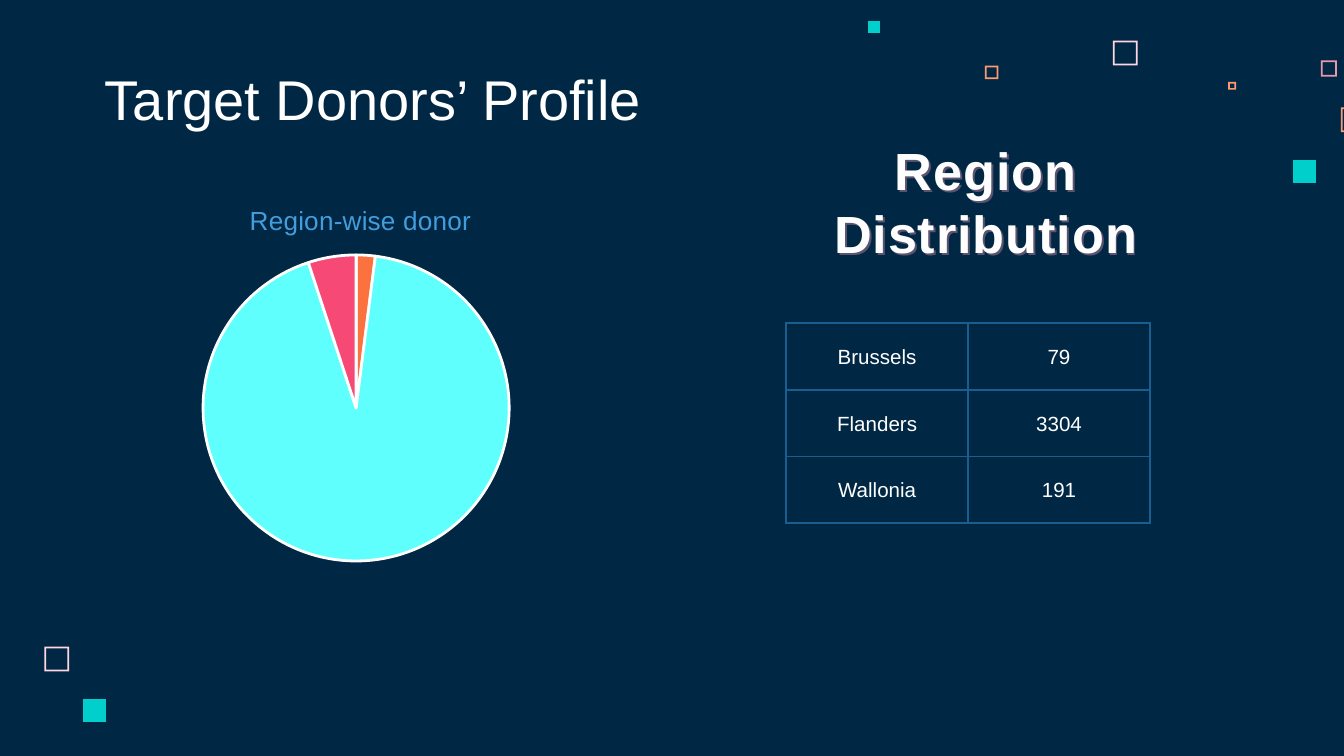
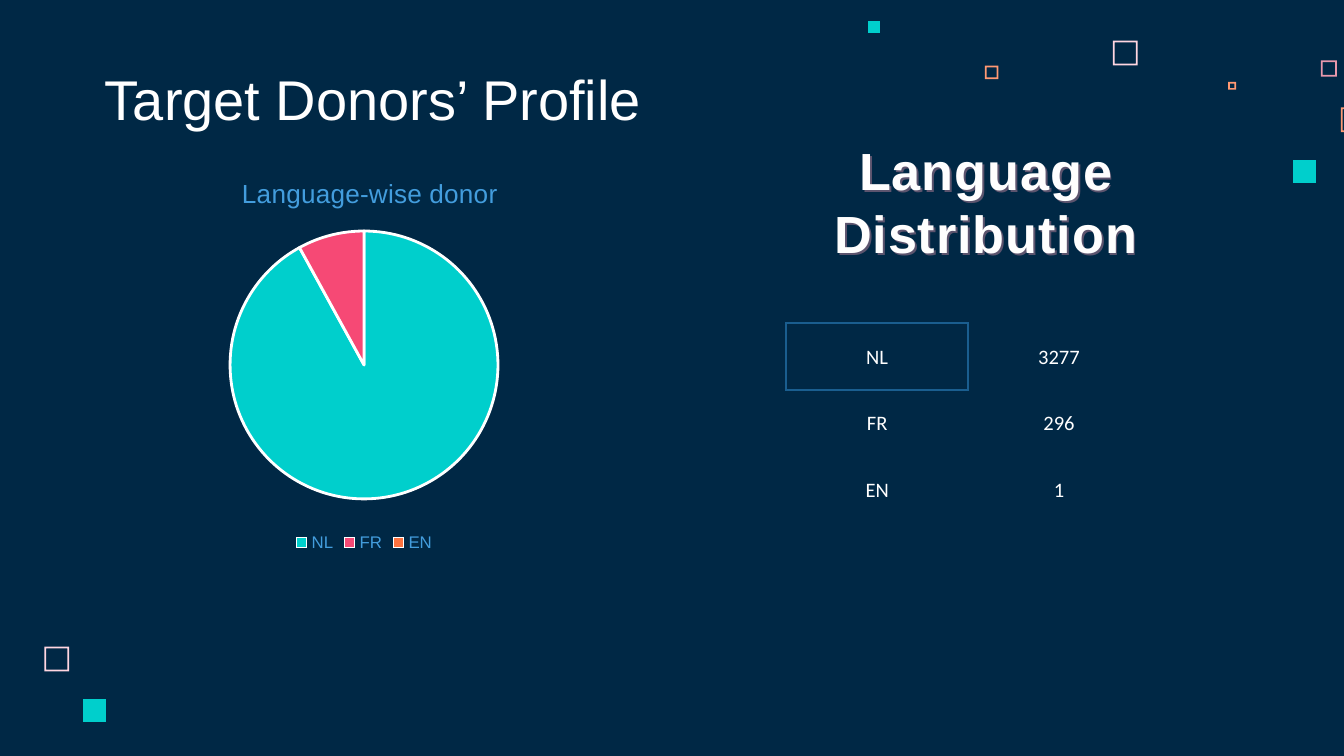
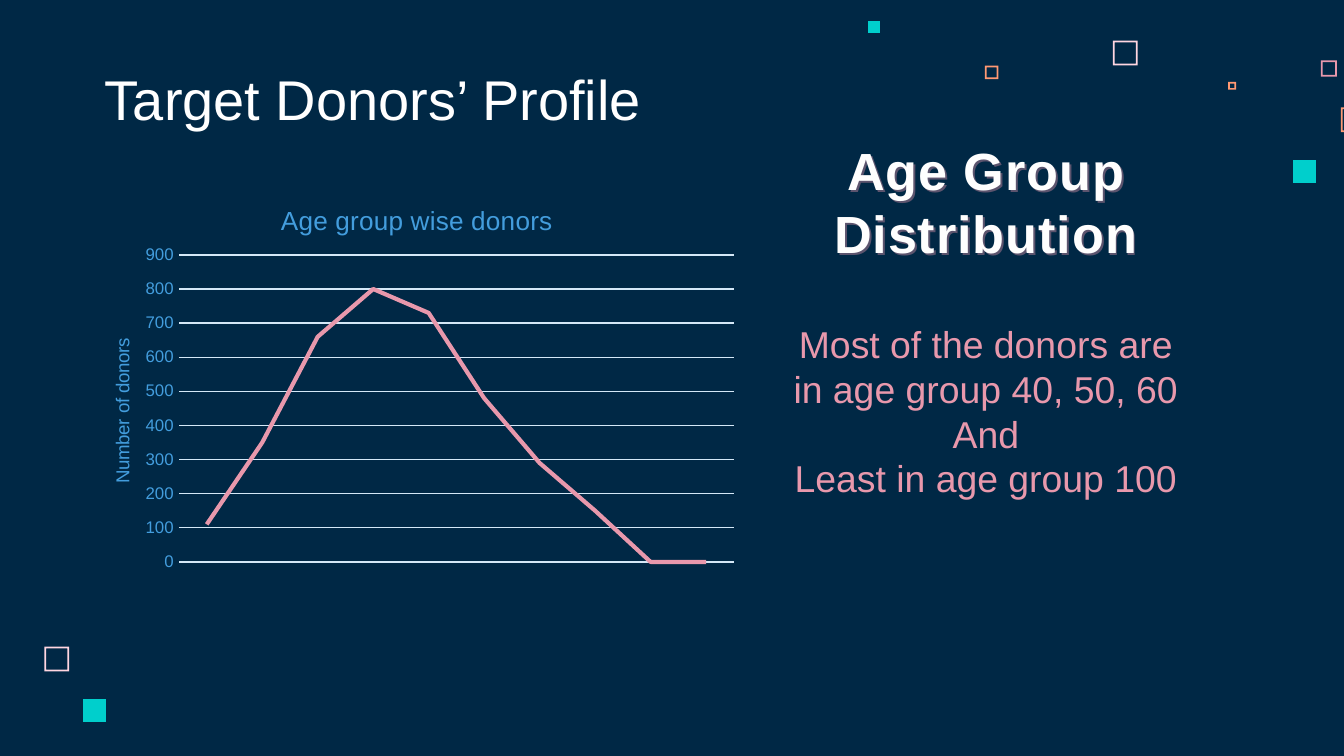
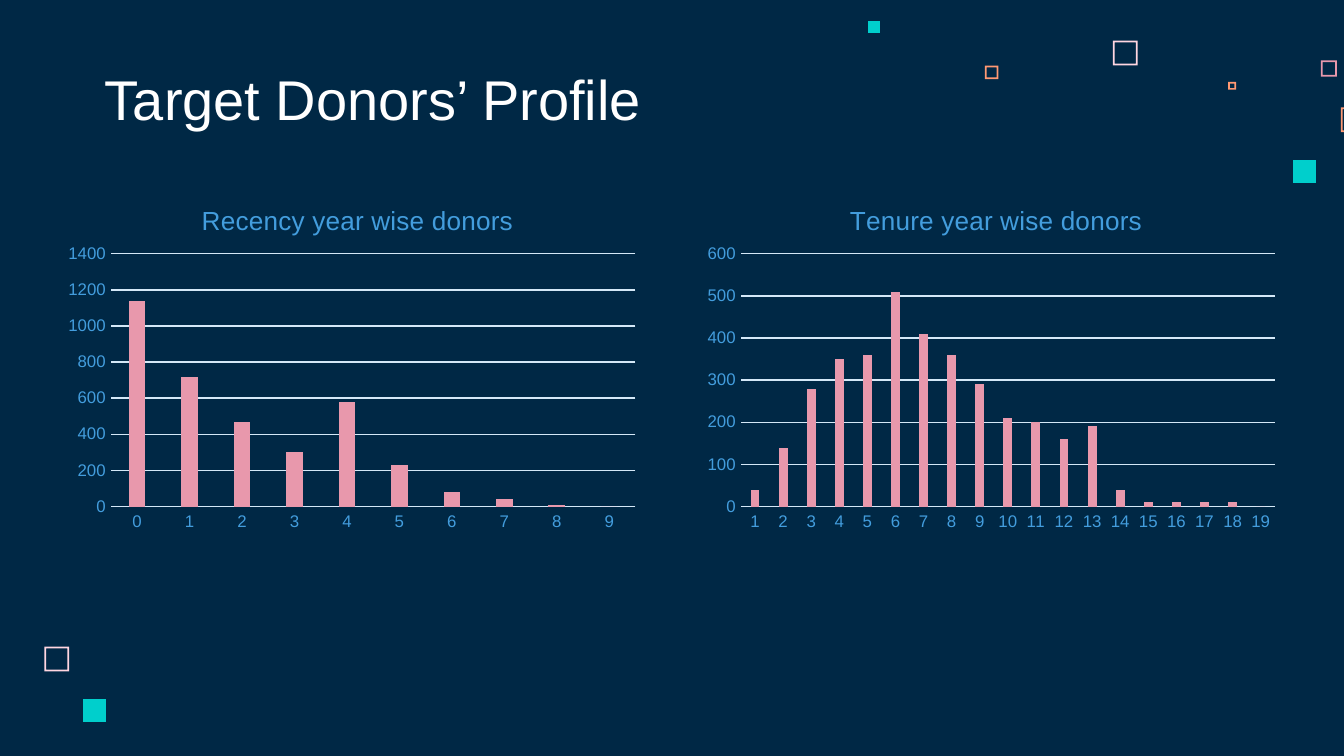
import pptx
import pptx.chart.data
import pptx.dml.color
import pptx.enum.chart
import pptx.enum.text
import pptx.oxml
import pptx.oxml.ns
import pptx.util

Pt = pptx.util.Pt
qn = pptx.oxml.ns.qn
KIND = pptx.enum.chart.XL_CHART_TYPE
ALIGN = pptx.enum.text.PP_ALIGN
ANCHOR = pptx.enum.text.MSO_ANCHOR

# Shared look
FACE = "Arial"
NAVY, WHITE, SNOW = "002845", "FFFFFF", "FEFEFE"
TEAL, AQUA, BLUSH = "00CFCC", "5EFFFD", "FFD6E1"
PINK, PEACH, ROSE, FLAME = "E898AC", "FF9973", "F64975", "FC723F"
SKY, STEEL, PALE = "439DDD", "1A5E8F", "D4E8F7"
TITLE_BOX = (49, 32.4, 372.2, 45.4)
HEAD_BOX = (392.4, 70.6, 271.4, 74.9)
TABLE_BOX = (421.2, 173.2, 194.9, 107.1)

# Small squares: left, top, side, colour, hollow
SQUARES = [
    (596.2, 21.8, 13.2, BLUSH, True),
    (707.6, 32.4, 8.6, PINK, True),
    (658, 43.9, 4.2, PEACH, True),
    (718.4, 57.6, 13.2, PEACH, True),
    (692.6, 85.7, 12.3, TEAL, False),
    (527.7, 35.2, 7.2, PEACH, True),
    (465, 11.4, 6.5, TEAL, False),
    (23.8, 346.5, 13.2, BLUSH, True),
    (44.5, 374.4, 12.3, TEAL, False),
]


def color(code):
    return pptx.dml.color.RGBColor.from_string(code)


def paint(fill, code):
    fill.solid()
    fill.fore_color.rgb = color(code)


def style(font, size, code, face=FACE, bold=False):
    font.size, font.name, font.bold = Pt(size), face, bold
    font.color.rgb = color(code)


def xml(tag, inner="", **attrs):
    """Make one element with the given content and attributes."""
    text = "".join(f' {key}="{val}"' for key, val in attrs.items())
    space = pptx.oxml.ns.nsdecls(tag.split(":")[0])
    return pptx.oxml.parse_xml(f"<{tag} {space}{text}>{inner}</{tag}>")


def solid(code):
    return f'<a:solidFill><a:srgbClr val="{code}"/></a:solidFill>'


# Template parts
def square(slide, left, top, side, code, hollow):
    def ring(inset):
        near, far = inset, side - inset
        spots = [(near, near), (near, far), (far, far), (far, near)]
        return [(Pt(left + x), Pt(top + y)) for x, y in spots]

    outer = ring(0)
    build = slide.shapes.build_freeform(*outer[0], scale=1.0)
    build.add_line_segments(outer[1:], close=True)
    if hollow:
        inner = ring(0.9)[::-1]
        build.move_to(*inner[0])
        build.add_line_segments(inner[1:], close=True)
    shape = build.convert_to_shape()
    shape.shadow.inherit = False
    paint(shape.fill, code)
    shape.line.fill.background()
    return shape


def dress(layout, slide):
    """Put the background and the squares on the layout."""
    paint(layout.background.fill, NAVY)
    for num, spec in enumerate(SQUARES, 101):
        node = square(slide, *spec)._element
        node.nvSpPr.cNvPr.set("id", str(num))
        layout.shapes._spTree.append(node)


def add_title(slide, text):
    title = slide.shapes.title
    title.left, title.top, title.width, title.height = map(Pt, TITLE_BOX)
    frame = title.text_frame
    frame.text = text
    frame.auto_size = pptx.enum.text.MSO_AUTO_SIZE.NONE
    frame.vertical_anchor = ANCHOR.BOTTOM
    frame.margin_left = frame.margin_right = Pt(7.2)
    frame.margin_top = frame.margin_bottom = Pt(7.2)
    para = frame.paragraphs[0]
    para.alignment = ALIGN.LEFT
    style(para.font, 30, WHITE)


# Text boxes
def add_text(slide, box, lines, size, code, bold=False):
    shape = slide.shapes.add_textbox(*map(Pt, box))
    frame = shape.text_frame
    frame.word_wrap = True
    frame.text = "\n".join(lines)
    for para in frame.paragraphs:
        para.alignment = ALIGN.CENTER
        style(para.font, size, code, bold=bold)
    return shape


def add_head(slide, word):
    """Outlined heading with a soft shadow."""
    shape = add_text(slide, HEAD_BOX, [word, "Distribution"], 28, SNOW, True)
    for para in shape.text_frame.paragraphs:
        props = para._p.pPr.find(qn("a:defRPr"))
        props.set("spc", "50")
        props.insert(0, xml("a:ln", solid(PINK), w=Pt(0.75)))
    tint = f'<a:srgbClr val="{PINK}"><a:alpha val="40000"/></a:srgbClr>'
    cast = f'<a:outerShdw dist="{Pt(1.5)}" dir="2700000" algn="tl">{tint}</a:outerShdw>'
    shape._element.spPr.append(xml("a:effectLst", cast))


# Table
def border(cell):
    props = cell._tc.get_or_add_tcPr()
    for spot, side in enumerate("LRTB"):
        props.insert(spot, xml(f"a:ln{side}", solid(STEEL), w=Pt(1)))


def add_table(slide, box, rows, face, ruled):
    """Ruled holds the (row, column) pairs that have borders."""
    count, width = len(rows), len(rows[0])
    table = slide.shapes.add_table(count, width, *map(Pt, box)).table
    table.first_row = table.horz_banding = False
    plain = table._tbl.tblPr.find(qn("a:tableStyleId"))
    plain.text = "{2D5ABB26-0587-4C30-8999-92F81FD0307C}"
    for col in table.columns:
        col.width = Pt(box[2] / width)
    for r, row in enumerate(rows):
        table.rows[r].height = Pt(box[3] / count)
        for c, text in enumerate(row):
            cell = table.cell(r, c)
            cell.text = text
            cell.fill.background()
            cell.vertical_anchor = ANCHOR.MIDDLE
            cell.margin_left = cell.margin_right = cell.margin_top = Pt(0.7)
            cell.margin_bottom = 0
            para = cell.text_frame.paragraphs[0]
            para.alignment = ALIGN.CENTER
            style(para.font, 11, WHITE, face)
            if (r, c) in ruled:
                border(cell)


# Charts
def place(parent, index, box, spot, inner=False):
    """Fix a chart part at spot: left, top and maybe width, height."""
    for old in parent.findall(qn("c:layout")):
        parent.remove(old)
    rules = [("layoutTarget", "inner")] if inner else []
    rules += [("xMode", "edge"), ("yMode", "edge")]
    for key, val, whole in zip("xywh", spot, box[2:] * 2):
        rules.append((key, round(val / whole, 4)))
    body = "".join(f'<c:{key} val="{val}"/>' for key, val in rules)
    manual = f"<c:manualLayout>{body}</c:manualLayout>"
    parent.insert(index, xml("c:layout", manual))


def label(title, text, size, box, spot):
    title.text_frame.text = text
    style(title.text_frame.paragraphs[0].font, size, SKY)
    place(title._element, 1, box, spot)


def add_chart(slide, kind, box, cats, vals, title, spot, plot):
    data = pptx.chart.data.CategoryChartData()
    data.categories = cats
    data.add_series("Series 1", vals)
    chart = slide.shapes.add_chart(kind, *map(Pt, box), data).chart
    style(chart.font, 10, STEEL)
    chart.has_legend = False
    chart.has_title = True
    label(chart.chart_title, title, 14, box, spot)
    place(chart._chartSpace.chart.plotArea, 0, box, plot, inner=True)
    return chart


def add_pie(slide, box, cats, vals, codes, title, spot, plot):
    chart = add_chart(slide, KIND.PIE, box, cats, vals, title, spot, plot)
    chart.plots[0].vary_by_categories = True
    for num, code in enumerate(codes):
        look = chart.series[0].points[num].format
        paint(look.fill, code)
        paint(look.line.fill, WHITE)
        look.line.width = Pt(1.5)
    return chart


def set_axes(chart, top, step):
    chart.plots[0].vary_by_categories = False
    axis = chart.value_axis
    axis.minimum_scale, axis.maximum_scale, axis.major_unit = 0, top, step
    axis.has_major_gridlines = True
    axis.format.line.fill.background()
    for line in (axis.major_gridlines.format.line, chart.category_axis.format.line):
        paint(line.fill, PALE)
        line.width = Pt(0.75)
    for part in (axis, chart.category_axis):
        part.major_tick_mark = pptx.enum.chart.XL_TICK_MARK.NONE
        style(part.tick_labels.font, 9, SKY)


def add_line(slide, box, vals, title, spot, plot):
    cats = [str(n + 1) for n in range(len(vals))]
    chart = add_chart(slide, KIND.LINE, box, cats, vals, title, spot, plot)
    set_axes(chart, 900, 100)
    chart.category_axis.visible = False
    label(chart.value_axis.axis_title, "Number of donors", 10, box, (17, 85))
    series = chart.series[0]
    series.smooth = False
    series.marker.style = pptx.enum.chart.XL_MARKER_STYLE.NONE
    paint(series.format.line.fill, PINK)
    series.format.line.width = Pt(2.25)


def add_bars(slide, box, first, vals, title, spot, plot, top, step):
    cats = [str(first + n) for n in range(len(vals))]
    chart = add_chart(slide, KIND.COLUMN_CLUSTERED, box, cats, vals, title, spot, plot)
    set_axes(chart, top, step)
    chart.plots[0].gap_width, chart.plots[0].overlap = 219, -27
    chart.series[0].invert_if_negative = False
    paint(chart.series[0].format.fill, PINK)


# Slides
def region(slide):
    add_head(slide, "Region")
    add_pie(slide, (10.8, 94.3, 360, 216), ["1", "2", "3"], [2, 92, 5],
            [FLAME, AQUA, ROSE], "Region-wise donor", (120.4, 12.3),
            (98, 42.3, 164, 164))
    rows = [("Brussels", "79"), ("Flanders", "3304"), ("Wallonia", "191")]
    every = {(r, c) for r in range(3) for c in range(2)}
    add_table(slide, TABLE_BOX, rows, FACE, every)


def language(slide):
    add_head(slide, "Language")
    chart = add_pie(slide, (15.1, 82.8, 360, 216), ["NL", "FR", "EN"], [92, 8, 0],
                    [TEAL, ROSE, FLAME], "Language-wise donor", (112, 9.4),
                    (108.1, 41, 143.6, 143.6))
    chart.has_legend = True
    chart.legend.position = pptx.enum.chart.XL_LEGEND_POSITION.BOTTOM
    chart.legend.include_in_layout = False
    style(chart.legend.font, 9, SKY)
    rows = [("NL", "3277"), ("FR", "296"), ("EN", "1")]
    add_table(slide, TABLE_BOX, rows, "Calibri", {(0, 0)})


def age(slide):
    lines = ["Most of the donors are in age group 40, 50, 60", "And",
             "Least in age group 100"]
    add_text(slide, (416.2, 168.5, 224, 104.4), lines, 20, PINK)
    add_line(slide, (40.3, 94.3, 360, 216),
             [110, 350, 660, 800, 730, 480, 290, 150, 0, 0],
             "Age group wise donors", (107.6, 12.3), (55.6, 42.3, 297.3, 164.5))
    add_head(slide, "Age Group")


def years(slide):
    add_bars(slide, (30.2, 95, 317, 193.7), 0,
             [1140, 720, 470, 300, 580, 230, 80, 40, 10, 0],
             "Recency year wise donors", (75.3, 11.6), (29.3, 41, 281, 135.5),
             1400, 200)
    add_bars(slide, (373, 95, 317, 193.7), 1,
             [40, 140, 280, 350, 360, 510, 410, 360, 290, 210, 200, 160, 190,
              40, 10, 10, 10, 10, 0],
             "Tenure year wise donors", (79.7, 11.6), (24, 41, 286, 135.5),
             600, 100)


def main():
    deck = pptx.Presentation()
    deck.slide_width, deck.slide_height = Pt(720), Pt(405)
    layout = deck.slide_layouts[5]
    for num, fill in enumerate((region, language, age, years)):
        slide = deck.slides.add_slide(layout)
        if num == 0:
            dress(layout, slide)
        add_title(slide, "Target Donors’ Profile")
        fill(slide)
    deck.save("out.pptx")


if __name__ == "__main__":
    main()
